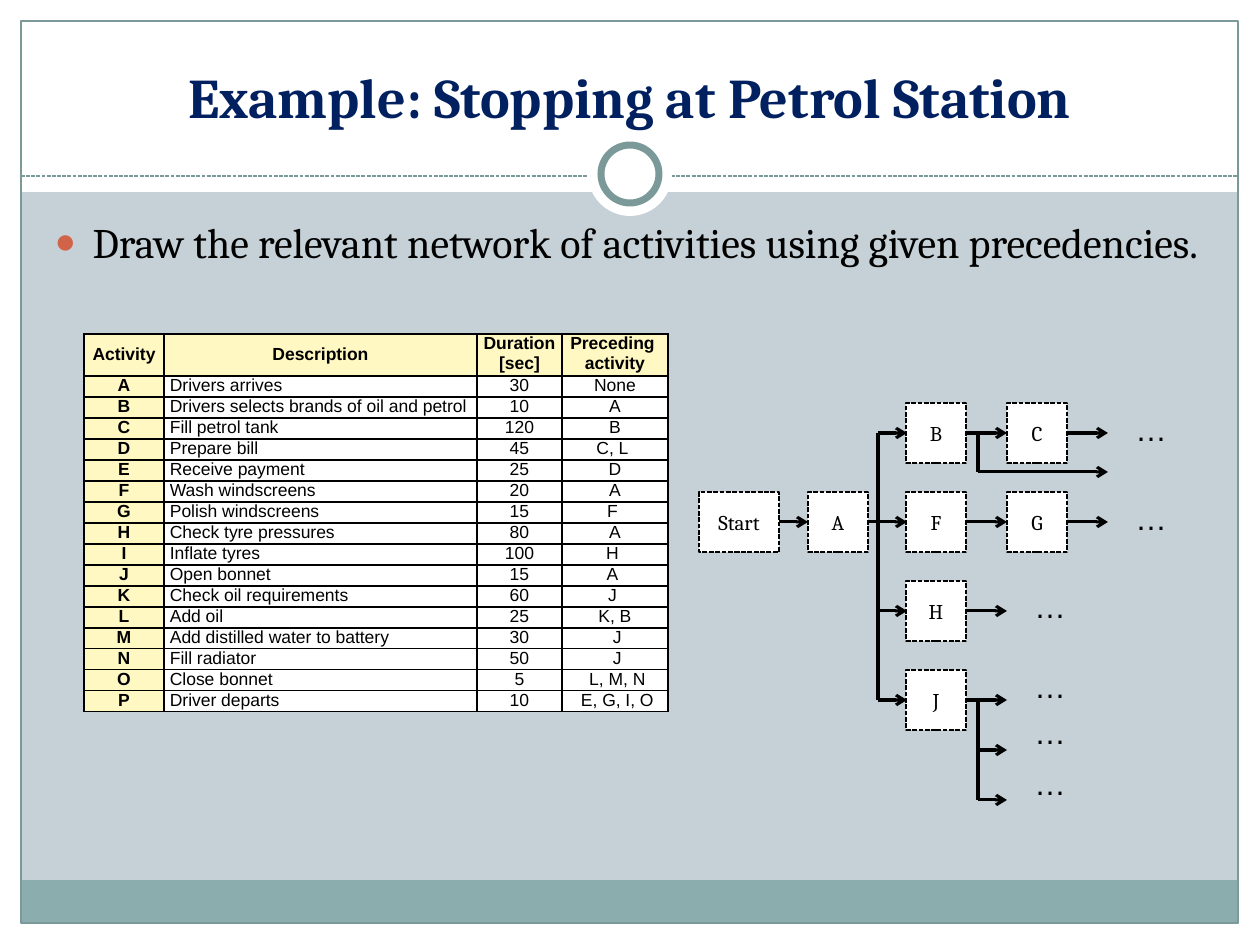
import pptx
import pptx.util
import pptx.dml.color
import pptx.enum.dml
import pptx.enum.shapes
import pptx.enum.text
import pptx.oxml
import pptx.oxml.ns

RGB = pptx.dml.color.RGBColor
WHITE = RGB(0xFF, 0xFF, 0xFF)
BLACK = RGB(0, 0, 0)
NAVY = RGB(0x00, 0x20, 0x60)
MIST = RGB(0xC5, 0xD1, 0xD7)
TEAL = RGB(0x8C, 0xAD, 0xAE)
SLATE = RGB(0x7C, 0x99, 0x9A)
RUST = RGB(0xD1, 0x63, 0x49)
CREAM = RGB(0xFF, 0xF8, 0xC2)

KIND = pptx.enum.shapes.MSO_SHAPE
DASH = pptx.enum.dml.MSO_LINE.SQUARE_DOT
MID = pptx.enum.text.MSO_ANCHOR.MIDDLE
TOP = pptx.enum.text.MSO_ANCHOR.TOP
LOW = pptx.enum.text.MSO_ANCHOR.BOTTOM
LEFT = pptx.enum.text.PP_ALIGN.LEFT
MIDST = pptx.enum.text.PP_ALIGN.CENTER
SCALE = 914400 / 126


def px(n):
    return pptx.util.Emu(round(n * SCALE))


def node(tag, inner="", **attrs):
    text = " ".join(f'{k}="{v}"' for k, v in attrs.items())
    space = pptx.oxml.ns.nsdecls("a")
    return pptx.oxml.parse_xml(f"<a:{tag} {space} {text}>{inner}</a:{tag}>")


class Board:
    serif = "Cambria"
    sans = "Arial"

    def __init__(self, slide):
        self.slide = slide
        self.shapes = slide.shapes

    def letter(self, frame, lines, size, font, color=BLACK, bold=False, align=MIDST):
        for i, line in enumerate(lines):
            para = frame.paragraphs[0] if i == 0 else frame.add_paragraph()
            para.alignment = align
            run = para.add_run()
            run.text = line
            run.font.size = pptx.util.Pt(size)
            run.font.name = font
            run.font.bold = bold
            run.font.color.rgb = color

    def stroke(self, line, color, width, dash=None):
        line.color.rgb = color
        line.width = pptx.util.Pt(width)
        if dash:
            line.dash_style = dash

    def shape(self, x, y, w, h, fill=WHITE, line=None, kind=KIND.RECTANGLE):
        item = self.shapes.add_shape(kind, px(x), px(y), px(w), px(h))
        item.shadow.inherit = False
        if fill is None:
            item.fill.background()
        else:
            item.fill.solid()
            item.fill.fore_color.rgb = fill
        if line:
            self.stroke(item.line, *line)
        else:
            item.line.fill.background()
        return item

    def box(self, text, x, y, w=60, h=60):
        item = self.shape(x, y, w, h, WHITE, (BLACK, 0.9, DASH))
        item.text_frame.vertical_anchor = MID
        self.letter(item.text_frame, [text], 12, self.serif)

    def line(self, x1, y1, x2, y2, color=BLACK, width=1.75, dash=None, head=False):
        kind = pptx.enum.shapes.MSO_CONNECTOR.STRAIGHT
        item = self.shapes.add_connector(kind, px(x1), px(y1), px(x2), px(y2))
        self.stroke(item.line, color, width, dash)
        if head:
            item.line._get_or_add_ln().append(node("tailEnd", type="arrow"))
        item._element.spPr.append(node("effectLst"))

    def dots(self, x, y):
        item = self.shapes.add_textbox(px(x), px(y), px(57), px(50))
        item.text_frame.word_wrap = False
        self.letter(item.text_frame, ["…"], 18, self.sans, align=LEFT)

    def holder(self, item, x, y, w, h, anchor, text, *style, **more):
        self.shapes._spTree.append(item._element)  # bring to front
        item.left, item.top, item.width, item.height = map(px, (x, y, w, h))
        frame = item.text_frame
        frame.auto_size = pptx.enum.text.MSO_AUTO_SIZE.NONE
        frame.vertical_anchor = anchor
        self.letter(frame, [text], *style, **more)
        return frame.paragraphs[0]

    def bullet(self, para):
        props = para._p.get_or_add_pPr()
        props.set("marL", str(px(38)))
        props.set("indent", str(-px(38)))
        props.append(node("buClr", f'<a:srgbClr val="{RUST}"/>'))
        props.append(node("buSzPct", val="85000"))
        props.append(node("buFont", typeface=self.sans))
        props.append(node("buChar", char="●"))

    def cell(self, cell, text, fill, bold, align, anchor):
        cell.margin_left = cell.margin_right = px(6)
        cell.margin_top = cell.margin_bottom = 0
        cell.vertical_anchor = anchor
        cell.fill.solid()
        cell.fill.fore_color.rgb = fill
        self.letter(cell.text_frame, text.split("\n"), 10, self.sans, bold=bold, align=align)
        props = cell._tc.get_or_add_tcPr()
        ink = f'<a:solidFill><a:srgbClr val="{BLACK}"/></a:solidFill>'
        for i, side in enumerate("LRTB"):
            props.insert(i, node("ln" + side, ink, w=12700))

    def table(self, x, y, cols, first, step, rows):
        high = first + step * (len(rows) - 1)
        grid = self.shapes.add_table(
            len(rows), len(cols), px(x), px(y), px(sum(cols)), px(high)).table
        grid.first_row = grid.horz_banding = False
        for i, wide in enumerate(cols):
            grid.columns[i].width = px(wide)
        for r, row in enumerate(rows):
            grid.rows[r].height = px(step if r else first)
            for c, text in enumerate(row):
                key = r == 0 or c == 0
                self.cell(grid.cell(r, c), text, CREAM if key else WHITE, key,
                          LEFT if r and c == 1 else MIDST,
                          MID if r == 0 and c < 2 else TOP)


deck = pptx.Presentation()
deck.slide_width, deck.slide_height = px(1260), px(945)
slide = deck.slides.add_slide(deck.slide_layouts[1])
slide.background.fill.solid()
slide.background.fill.fore_color.rgb = MIST
board = Board(slide)
title, body = slide.placeholders

# Frame, footer band and ring
for area in ((0, 924, 1260, 21), (0, 0, 1260, 192), (0, 0, 21, 945), (1239, 0, 21, 945)):
    board.shape(*area)
board.shape(21, 880, 1217, 43, TEAL)
board.shape(21, 21, 1217, 902, None, (SLATE, 0.75))
board.line(21, 176, 1239, 176, SLATE, 0.75, DASH)
board.shape(588, 132, 84, 84, kind=KIND.OVAL)
board.shape(601, 145, 58, 58, WHITE, (SLATE, 4), KIND.OVAL)

# Title and task
board.holder(title, 42, 31, 1176, 105, LOW, "Example: Stopping at Petrol Station",
             32, board.serif, NAVY, True)
task = board.holder(body, 42, 210, 1179, 630, TOP,
                    "Draw the relevant network of activities using given precedencies.",
                    24, board.serif, align=LEFT)
board.bullet(task)

# Activity table
head = ("Activity", "Description", "Duration [sec]", "Preceding \nactivity")
work = [
    ("Drivers arrives", 30, "None"),
    ("Drivers selects brands of oil and petrol", 10, "A"),
    ("Fill petrol tank", 120, "B"),
    ("Prepare bill", 45, "C, L\u00a0"),
    ("Receive payment", 25, "D"),
    ("Wash windscreens", 20, "A"),
    ("Polish windscreens", 15, "F\u00a0"),
    ("Check tyre pressures", 80, "A"),
    ("Inflate tyres", 100, "H\u00a0"),
    ("Open bonnet", 15, "A\u00a0"),
    ("Check oil requirements", 60, "J\u00a0"),
    ("Add oil", 25, "K, B"),
    ("Add distilled water to battery", 30, "\u00a0J"),
    ("Fill radiator", 50, "\u00a0J"),
    ("Close bonnet", 5, "\u00a0L, M, N"),
    ("Driver departs", 10, "\u00a0E, G, I, O"),
]
rows = [head] + [(key, name, str(time), prior)
                 for key, (name, time, prior) in zip("ABCDEFGHIJKLMNOP", work)]
board.table(84, 334, (80, 313, 85, 106), 42, 21, rows)

# Network boxes, on four rows of equal pitch
tops = [403 + 89 * i for i in range(4)]
mids = [top + 30 for top in tops]
board.box("Start", 699, tops[1], 80)
board.box("A", 808, tops[1])
for text, top in zip("BFHJ", tops):
    board.box(text, 906, top)
for text, top in zip("CG", tops):
    board.box(text, 1007, top)

# Trunk and branches
for x, y1, y2 in ((878, mids[0], mids[3]), (978, mids[0], 472), (978, mids[3], 800)):
    board.line(x, y1, x, y2)
board.line(779, mids[1], 808, mids[1], head=True)
for mid in mids:
    board.line(868 if mid == mids[1] else 878, mid, 907, mid, head=True)
    board.line(966, mid, 1007, mid, head=True)
for x1, y, x2 in ((1067, mids[0], 1108), (1067, mids[1], 1108),
                  (978, 472, 1108), (978, 750, 1007), (978, 800, 1007)):
    board.line(x1, y, x2, y, head=True)

# Open ends
for x, y in ((1123, 404), (1123, 493), (1022, 581), (1022, 661), (1022, 707), (1022, 758)):
    board.dots(x, y)

deck.save("out.pptx")
